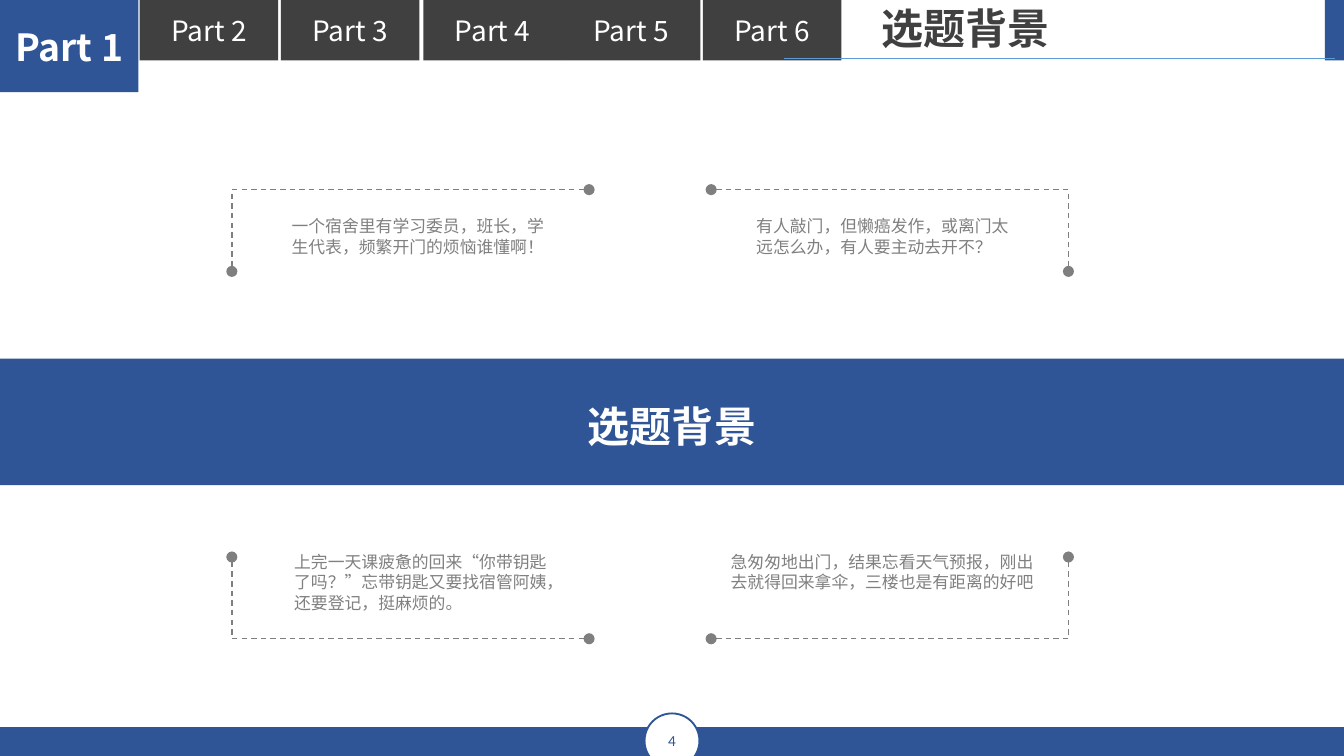
from lxml import etree
from pptx import Presentation
from pptx.dml.color import RGBColor
from pptx.enum import dml, shapes, text
from pptx.oxml import ns
from pptx.util import Pt

BLUE = RGBColor(0x2F, 0x55, 0x96)
SKY = RGBColor(0x5B, 0x9B, 0xD5)
DARK = RGBColor(0x40, 0x40, 0x40)
GREY = RGBColor(0x7F, 0x7F, 0x7F)
TEXT_GREY = RGBColor(0x80, 0x80, 0x80)
WHITE = RGBColor(0xFF, 0xFF, 0xFF)
CJK = "Noto Sans CJK SC"
RECT = shapes.MSO_SHAPE.RECTANGLE
LEFT, CENTER, RIGHT = text.PP_ALIGN.LEFT, text.PP_ALIGN.CENTER, text.PP_ALIGN.RIGHT


def write(tf, words, size, color, font, bold=False, align=LEFT):
    """Fill a text frame with one formatted paragraph."""
    p = tf.paragraphs[0]
    p.text = words
    p.alignment = align
    r = p.runs[0]
    r.font.size, r.font.name, r.font.bold = Pt(size), font, bold
    r.font.color.rgb = color
    etree.SubElement(r._r.get_or_add_rPr(), ns.qn("a:ea"), typeface=CJK)


def add_block(s, box, fill, kind=RECT, line=None):
    """Add a flat filled shape with an optional outline."""
    sp = s.shapes.add_shape(kind, *map(Pt, box))
    sp.shadow.inherit = False
    sp.fill.solid()
    sp.fill.fore_color.rgb = fill
    if line is None:
        sp.line.fill.background()
    else:
        sp.line.color.rgb = line
        sp.line.width = Pt(1)
    return sp


def fit_frame(sp, wrap):
    """Give a text shape narrow insets and a top anchor."""
    tf = sp.text_frame
    tf.margin_left = tf.margin_right = Pt(5.4)
    tf.margin_top = tf.margin_bottom = Pt(2.7)
    tf.vertical_anchor = text.MSO_ANCHOR.TOP
    tf.word_wrap = wrap
    tf.auto_size = text.MSO_AUTO_SIZE.SHAPE_TO_FIT_TEXT
    return tf


def add_text(s, box, words, size, color, wrap=True, **style):
    """Add a text box."""
    tf = fit_frame(s.shapes.add_textbox(*map(Pt, box)), wrap)
    write(tf, words, size, color, "Calibri", **style)


def add_header(s, x, y, w, h):
    """Add the navigation tabs, the slide title and its rule."""
    tab_w = 74.2
    lefts = (0, 74.9, 150.5, 226.8, 301, 376.6)
    for i, left in enumerate(lefts):
        active = i == 0
        box = (x + left, y, tab_w, 49.4 if active else h)
        tf = add_block(s, box, BLUE if active else DARK).text_frame
        tf.margin_left = tf.margin_right = 0
        tf.vertical_anchor = text.MSO_ANCHOR.MIDDLE
        write(tf, f"Part {i + 1}", 20 if active else 15, WHITE, CJK, active, CENTER)
    add_block(s, (x + w - 10.2, y, 10.2, h), BLUE)

    rule_y = Pt(y + h - 1)
    cx = s.shapes.add_connector(shapes.MSO_CONNECTOR.STRAIGHT,
                                Pt(x + w - 5), rule_y, Pt(x + 420), rule_y)
    cx.line.color.rgb = SKY
    cx.line.width = Pt(0.5)
    etree.SubElement(cx._element.spPr, ns.qn("a:effectLst"))

    title = s.shapes.title
    title.left, title.top, title.width, title.height = map(Pt, (x + 466.6, y - 1.4, 102.2, 32.4))
    write(fit_frame(title, False), "选题背景", 22.5, DARK, "Arial", True)


def add_footer(s, x, y, w, h, number):
    """Add the bottom bar with the page number in a circle."""
    add_block(s, (x, y, w, h), BLUE)
    size = 29.4
    box = (x + (w - size) / 2, y - 7.3, size, size)
    tf = add_block(s, box, WHITE, shapes.MSO_SHAPE.OVAL, BLUE).text_frame
    tf.margin_left = tf.margin_right = tf.margin_top = tf.margin_bottom = 0
    tf.vertical_anchor = text.MSO_ANCHOR.MIDDLE
    write(tf, str(number), 8.2, BLUE, "Calibri", align=CENTER)


def add_banner(s, x, y, w, h, words):
    """Add the full-width band with its centred heading."""
    add_block(s, (x, y, w, h), BLUE)
    add_text(s, (x + (w - 102.2) / 2, y + 19.4, 102.2, 32.4), words, 22.5, WHITE,
             wrap=False, bold=True, align=CENTER)


def add_bracket(s, x, y, w, h, flip_x, flip_y):
    """Add a dashed corner with dots at both ends."""
    outer, inner = (x + w, x) if flip_x else (x, x + w)
    corner, end = (y + h, y) if flip_y else (y, y + h)
    fb = s.shapes.build_freeform(Pt(outer), Pt(end))
    fb.add_line_segments([(Pt(outer), Pt(corner)), (Pt(inner), Pt(corner))], close=False)
    sp = fb.convert_to_shape()
    sp.shadow.inherit = False
    sp.fill.background()
    sp.line.color.rgb = GREY
    sp.line.width = Pt(0)
    sp.line.dash_style = dml.MSO_LINE.DASH
    ln = sp.line._get_or_add_ln()
    for tag in ("a:headEnd", "a:tailEnd"):
        etree.SubElement(ln, ns.qn(tag), type="oval")


def add_notes_grid(s, x, y, w, h):
    """Add four bracketed notes, two above and two below the banner."""
    bw, bh = 191.4, 43.8
    notes = (
        ("一个宿舍里有学习委员，班长，学生代表，频繁开门的烦恼谁懂啊！", 26.6, 11.5, 152.6, 27.4, LEFT),
        ("有人敲门，但懒癌发作，或离门太远怎么办，有人要主动去开不？", 18.7, 11.5, 152.6, 27.4, LEFT),
        ("上完一天课疲惫的回来“你带钥匙了吗？”忘带钥匙又要找宿管阿姨，还要登记，挺麻烦的。",
         28, -5.4, 152.6, 38.2, LEFT),
        ("急匆匆地出门，结果忘看天气预报，刚出去就得回来拿伞，三楼也是有距离的好吧",
         0.7, -5.4, 177.1, 27.4, RIGHT),
    )
    for i, (words, dx, dy, tw, th, align) in enumerate(notes):
        row, col = divmod(i, 2)
        bx, by = x + col * (w - bw), y + row * (h - bh)
        add_bracket(s, bx, by, bw, bh, col == 1, row == 1)
        add_text(s, (bx + dx, by + dy, tw, th), words, 9, TEXT_GREY, align=align)


def main():
    """Build and save the slide."""
    prs = Presentation()
    prs.slide_width, prs.slide_height = Pt(720), Pt(405)
    s = prs.slides.add_slide(prs.slide_layouts[5])
    add_header(s, 0, 0, 720, 32.4)
    add_footer(s, 0, 389.5, 720, 15.5, 4)
    add_banner(s, 0, 192.2, 720, 67.8, "选题背景")
    add_notes_grid(s, 124.2, 101.6, 448.2, 240.6)
    prs.save("out.pptx")


if __name__ == "__main__":
    main()
